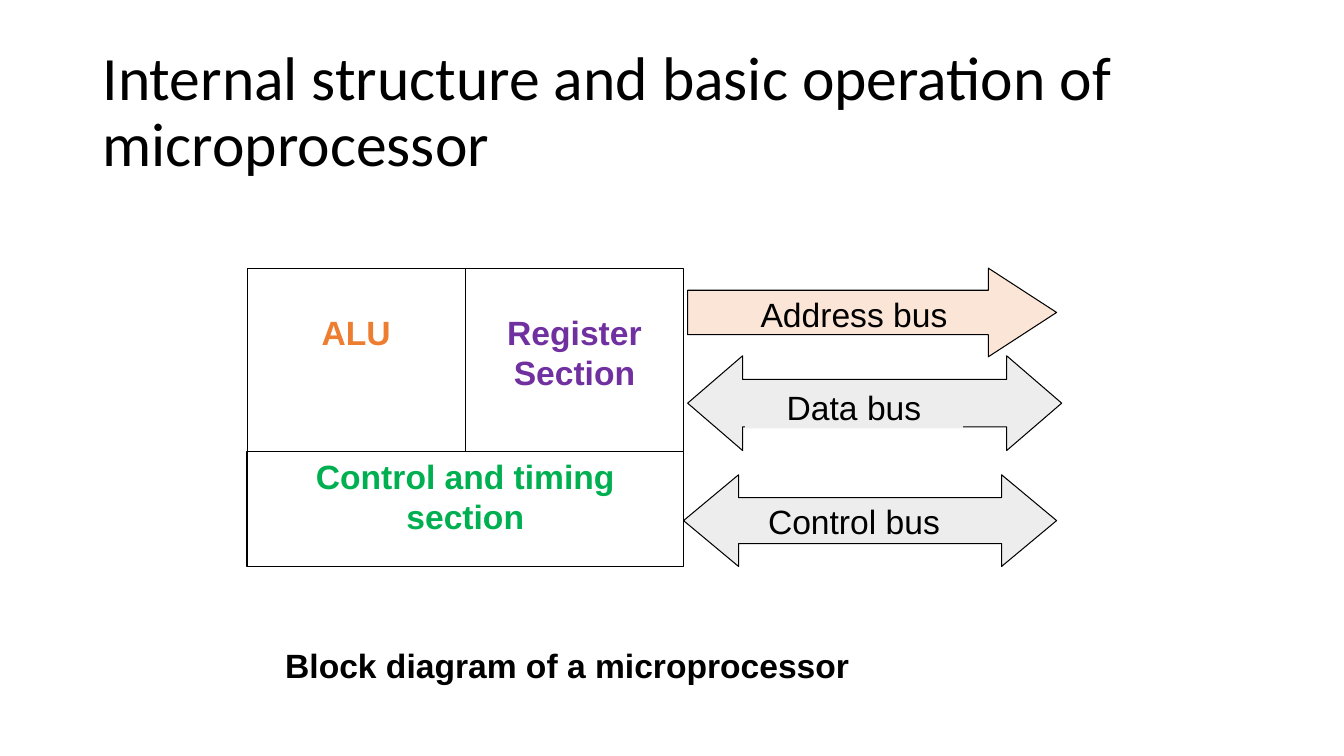
from pptx import Presentation
from pptx.dml.color import RGBColor
from pptx.enum.shapes import MSO_SHAPE as Preset
from pptx.enum.text import MSO_ANCHOR as Anchor, PP_ALIGN as Align
from pptx.util import Inches, Pt

BLACK = RGBColor(0x00, 0x00, 0x00)
WHITE = RGBColor(0xFF, 0xFF, 0xFF)
ORANGE = RGBColor(0xED, 0x7D, 0x31)
PURPLE = RGBColor(0x70, 0x30, 0xA0)
GREEN = RGBColor(0x00, 0xB0, 0x50)
PEACH = RGBColor(0xFB, 0xE5, 0xD6)
GREY = RGBColor(0xED, 0xED, 0xED)


def write(holder, text, color=BLACK, size=24, font="Arial", bold=False,
          align=Align.CENTER, anchor=Anchor.TOP, insets=(0.09, 0.04)):
    """Fill a shape's text frame; insets are (sides, top and bottom)."""
    frame = holder.text_frame
    frame.word_wrap = True
    frame.vertical_anchor = anchor
    frame.margin_left = frame.margin_right = Inches(insets[0])
    frame.margin_top = frame.margin_bottom = Inches(insets[1])
    paragraph = frame.paragraphs[0]
    paragraph.alignment = align
    run = paragraph.add_run()
    run.text = text
    run.font.name = font
    run.font.size = Pt(size)
    run.font.bold = bold
    run.font.color.rgb = color
    return frame


def add_outline(slide, preset, box, fill, outlined=True):
    outline = slide.shapes.add_shape(preset, *map(Inches, box))
    outline.shadow.inherit = False
    outline.fill.solid()
    outline.fill.fore_color.rgb = fill
    if outlined:
        outline.line.color.rgb = BLACK
        outline.line.width = Pt(0.75)
    else:
        outline.line.fill.background()
    return outline


def add_text(slide, box, text, **style):
    return write(slide.shapes.add_textbox(*map(Inches, box)), text, **style)


def add_title(slide, box):
    frame = add_text(slide, box, "Internal structure and basic operation of microprocessor",
                     size=44, font="Calibri", align=Align.LEFT,
                     anchor=Anchor.MIDDLE, insets=(0.1, 0.05))
    frame.paragraphs[0].line_spacing = 0.9


def add_processor(slide, box):
    """Two units side by side above the control section."""
    left, top, width, height = box
    unit_width, unit_height = width / 2, 1.82
    units = [("ALU", ORANGE), ("Register Section", PURPLE)]
    for column, (name, color) in enumerate(units):
        unit = add_outline(slide, Preset.RECTANGLE,
                           (left + column * unit_width, top, unit_width, unit_height), WHITE)
        frame = write(unit, name, color, bold=True)
        frame.margin_top = Inches(0.43)
    control = add_outline(slide, Preset.RECTANGLE,
                          (left, top + unit_height, width, height - unit_height), WHITE)
    write(control, "Control and timing section", GREEN, bold=True)


def add_buses(slide, box):
    """Bus arrows, offset from the box, with labels in one shared column."""
    left, top, width, height = box
    buses = [
        (Preset.RIGHT_ARROW, (0.04, 0, 3.66, 0.88), 0.77, PEACH),
        (Preset.LEFT_RIGHT_ARROW, (0.04, 0.87, 3.71, 0.94), 0.58, GREY),
        (Preset.LEFT_RIGHT_ARROW, (0, 2.05, 3.7, 0.91), 0.6, GREY),
    ]
    for preset, (dx, dy, arrow_width, arrow_height), head, fill in buses:
        arrow = add_outline(slide, preset,
                            (left + dx, top + dy, arrow_width, arrow_height), fill)
        arrow.adjustments[0] = 0.5
        arrow.adjustments[1] = head

    label_left, label_width = left + 0.61, 2.16
    add_text(slide, (label_left, top + 0.22, label_width, 0.46), "Address bus")
    data_label = add_outline(slide, Preset.RECTANGLE,
                             (label_left, top + 1.14, label_width, 0.45), GREY, outlined=False)
    write(data_label, "Data bus")
    add_text(slide, (label_left, top + 2.27, label_width, 0.46), "Control bus")


def add_caption(slide, box):
    add_text(slide, box, "Block diagram of a microprocessor", bold=True,
             align=Align.LEFT, insets=(0.1, 0.05))


def main():
    deck = Presentation()
    deck.slide_width, deck.slide_height = Inches(13.33), Inches(7.5)
    slide = deck.slides.add_slide(deck.slide_layouts[6])
    add_title(slide, (0.92, 0.4, 11.5, 1.45))
    add_processor(slide, (2.45, 2.66, 4.33, 2.96))
    add_buses(slide, (6.78, 2.66, 3.75, 2.96))
    add_caption(slide, (2.73, 6.35, 6.61, 0.5))
    deck.save("out.pptx")


if __name__ == "__main__":
    main()
